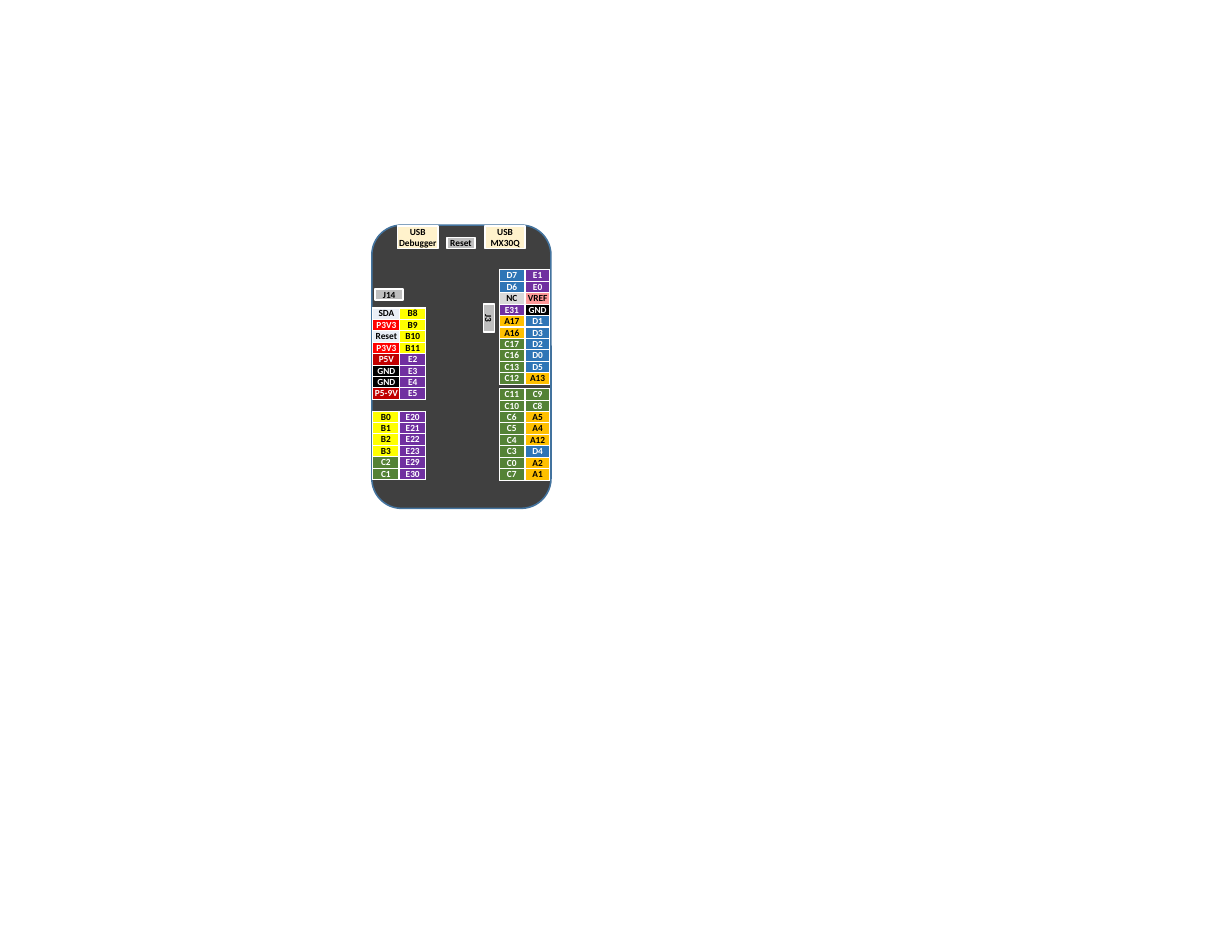
from lxml.etree import SubElement
from pptx import Presentation
from pptx.dml.color import RGBColor
from pptx.enum.shapes import MSO_SHAPE
from pptx.enum.text import MSO_ANCHOR, MSO_AUTO_SIZE, PP_ALIGN
from pptx.oxml.ns import qn
from pptx.util import Inches, Pt

ROW = 0.1
PORTS = {"A": "FFC000", "B": "FFFF00", "C": "548235", "D": "2E75B6", "E": "7030A0"}
NAMED = {"GND": "000000", "VREF": "FF9999", "NC": "D9D9D9", "SDA": "EAEFF7",
         "Reset": "EAEFF7", "P3V3": "FF0000", "P5V": "C00000", "P5-9V": "C00000"}
LIGHT = {"FFC000", "FFFF00", "FF9999", "D9D9D9", "EAEFF7"}


def rgb(code):
    return RGBColor.from_string(code)


def write(frame, text, size=6, color="000000", bold=True, font="Calibri"):
    """Fill a text frame, one centred paragraph per line."""
    frame.text = text
    for para in frame.paragraphs:
        para.alignment = PP_ALIGN.CENTER
        for run in para.runs:
            run.font.name = font
            run.font.size = Pt(size)
            run.font.bold = bold
            run.font.color.rgb = rgb(color)


deck = Presentation()
deck.slide_width = Inches(11)
deck.slide_height = Inches(8.5)
slide = deck.slides.add_slide(deck.slide_layouts[6])
shapes = slide.shapes

board = shapes.add_shape(MSO_SHAPE.ROUNDED_RECTANGLE,
                         Inches(3.32), Inches(2.01), Inches(1.6), Inches(2.53))
board.shadow.inherit = False
board.fill.solid()
board.fill.fore_color.rgb = rgb("404040")
board.line.color.rgb = rgb("43739E")
board.line.width = Pt(1)

# Pin headers: left, top, width, anchor, pins from top to bottom
TOP, MID = MSO_ANCHOR.TOP, MSO_ANCHOR.MIDDLE
headers = [
    (4.69, 3.47, 0.22, TOP, "C9 C8 A5 A4 A12 D4 A2 A1"),
    (4.69, 2.41, 0.22, MID, "E1 E0 VREF GND D1 D3 D2 D0 D5 A13"),
    (3.57, 2.75, 0.23, MID, "B8 B9 B10 B11 E2 E3 E4 E5"),
    (3.57, 3.67, 0.23, MID, "E20 E21 E22 E23 E29 E30"),
    (4.46, 3.47, 0.22, TOP, "C11 C10 C6 C5 C4 C3 C0 C7"),
    (4.46, 2.41, 0.22, MID, "D7 D6 NC E31 A17 A16 C17 C16 C13 C12"),
    (3.33, 2.75, 0.24, MID, "SDA P3V3 Reset P3V3 P5V GND GND P5-9V"),
    (3.33, 3.67, 0.23, MID, "B0 B1 B2 B3 C2 C1"),
]
for left, top, width, anchor, names in headers:
    pins = names.split()
    table = shapes.add_table(len(pins), 1, Inches(left), Inches(top),
                             Inches(width), Inches(ROW * len(pins))).table
    table.first_row = False
    table.horz_banding = False
    for row, pin in enumerate(pins):
        table.rows[row].height = Inches(ROW)
        cell = table.cell(row, 0)
        fill = NAMED.get(pin) or PORTS[pin[0]]
        cell.margin_left = cell.margin_right = Inches(0.01)
        cell.margin_top = cell.margin_bottom = 0
        cell.vertical_anchor = anchor
        write(cell.text_frame, pin, color="000000" if fill in LIGHT else "FFFFFF")
        # Borders must come before the fill in the cell properties
        props = cell._tc.get_or_add_tcPr()
        for side in ("a:lnL", "a:lnR", "a:lnT", "a:lnB"):
            edge = SubElement(props, qn(side), w=str(Pt(0.75)))
            paint = SubElement(edge, qn("a:solidFill"))
            SubElement(paint, qn("a:srgbClr"), val="FFFFFF")
        cell.fill.solid()
        cell.fill.fore_color.rgb = rgb(fill)

# Board parts: text, left, top, width, height, fill, rotation
parts = [
    ("USB\nDebugger", 3.55, 2.02, 0.36, 0.2, "FFF2CC", 0),
    ("USB\nMX30Q", 4.33, 2.02, 0.36, 0.2, "FFF2CC", 0),
    ("J14", 3.35, 2.58, 0.25, 0.1, "BFBFBF", 0),
    ("J3", 4.24, 2.79, 0.25, 0.1, "BFBFBF", 90),
    ("Reset", 3.99, 2.12, 0.25, 0.1, "BFBFBF", 0),
]
for text, left, top, width, height, fill, turn in parts:
    part = shapes.add_shape(MSO_SHAPE.RECTANGLE, Inches(left), Inches(top),
                            Inches(width), Inches(height))
    part.shadow.inherit = False
    part.rotation = turn
    part.fill.solid()
    part.fill.fore_color.rgb = rgb(fill)
    part.line.color.rgb = rgb("FFFFFF")
    part.line.width = Pt(1)
    frame = part.text_frame
    frame.margin_left = frame.margin_right = 0
    frame.margin_top = frame.margin_bottom = 0
    frame.vertical_anchor = MID
    frame.auto_size = MSO_AUTO_SIZE.SHAPE_TO_FIT_TEXT
    write(frame, text)

deck.save("out.pptx")
